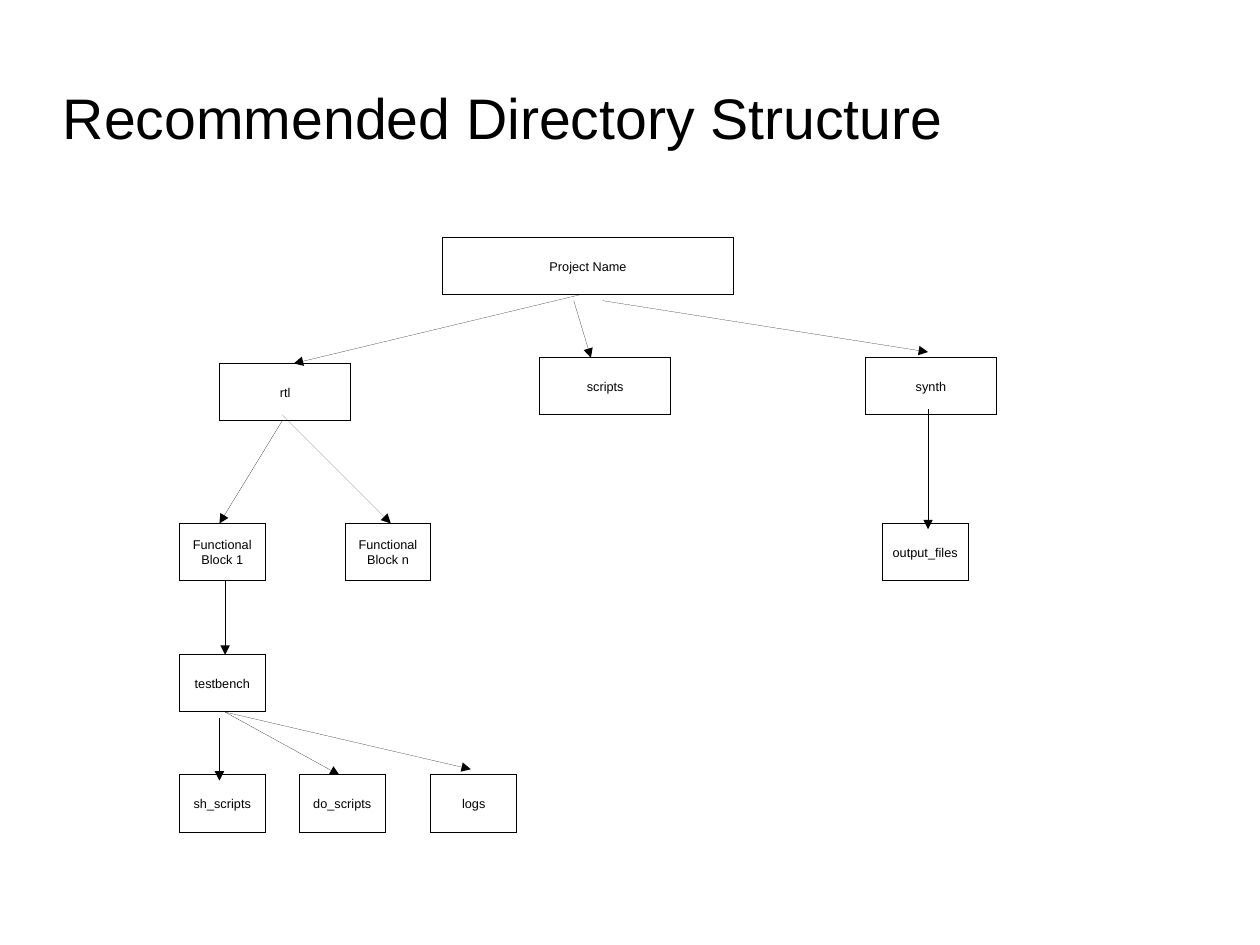
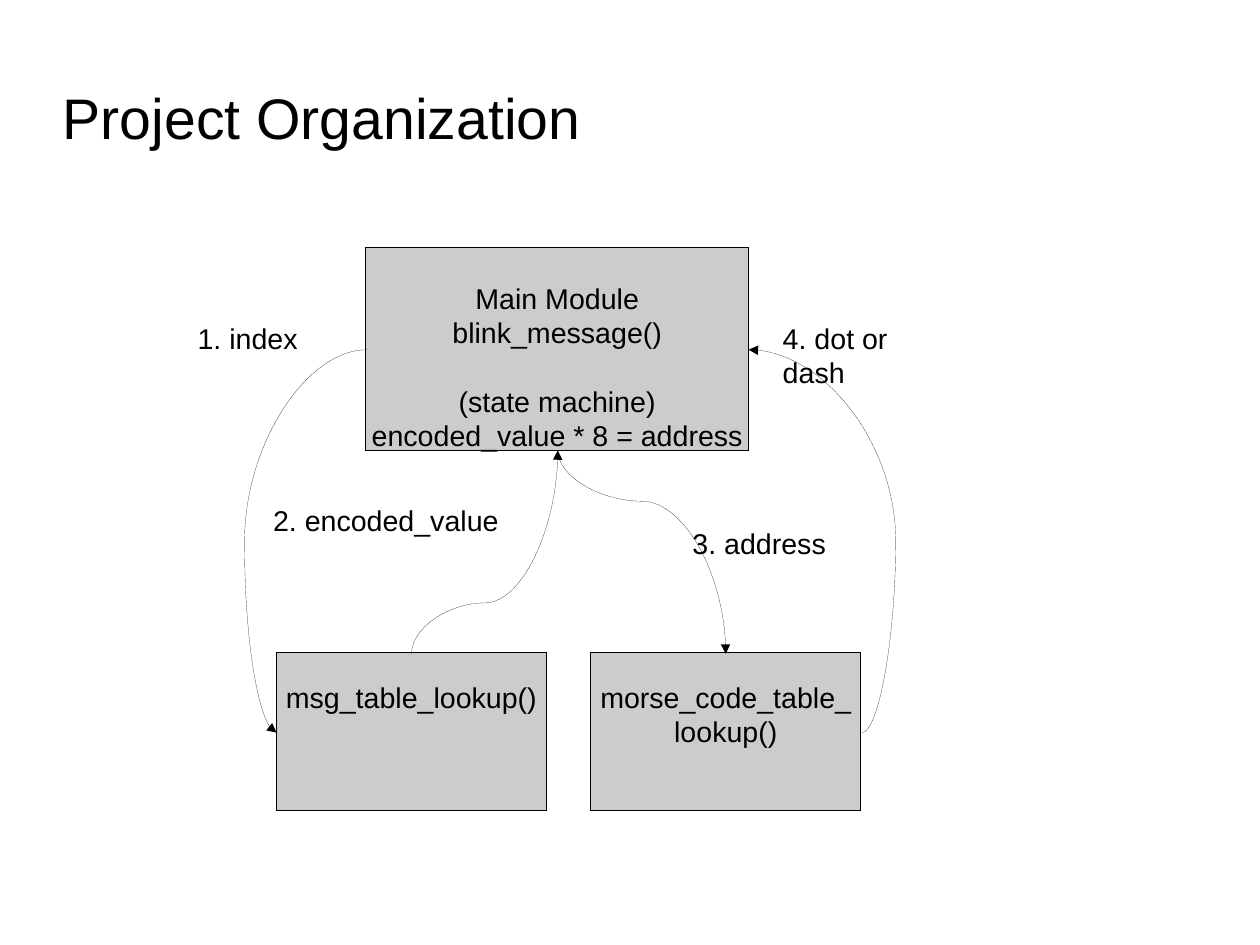
from pptx import Presentation
from pptx.dml.color import RGBColor
from pptx.enum.shapes import MSO_CONNECTOR, MSO_SHAPE
from pptx.enum.text import MSO_ANCHOR, MSO_AUTO_SIZE, PP_ALIGN
from pptx.oxml.ns import qn
from pptx.util import Inches, Pt
from lxml import etree
from dataclasses import dataclass

RECTANGLE = MSO_SHAPE.RECTANGLE
STRAIGHT, CURVE = MSO_CONNECTOR.STRAIGHT, MSO_CONNECTOR.CURVE
MIDDLE, TOP = MSO_ANCHOR.MIDDLE, MSO_ANCHOR.TOP
CENTER, LEFT = PP_ALIGN.CENTER, PP_ALIGN.LEFT
FIT_SHAPE = MSO_AUTO_SIZE.SHAPE_TO_FIT_TEXT


@dataclass(frozen=True)
class Theme:
    font: str = "Arial"
    ink: RGBColor = RGBColor(0, 0, 0)
    folder: RGBColor = RGBColor(0xFF, 0xFF, 0xFF)
    module: RGBColor = RGBColor(0xCC, 0xCC, 0xCC)
    title_size: Pt = Pt(36)
    folder_size: Pt = Pt(8)
    module_size: Pt = Pt(18)
    hairline: Pt = Pt(0.01)  # a width of exactly 0 would not be written


THEME = Theme()


def add_text(page, place, text, size, fill=None, margins=(0.1, 0.05, 0.1, 0.05),
             anchor=MIDDLE, wrap=False):
    """Add a filled, centred box, or a plain left-aligned text box without fill."""
    place = [Inches(value) for value in place]
    if fill is None:
        box = page.shapes.add_textbox(*place)
    else:
        box = page.shapes.add_shape(RECTANGLE, *place)
        box.shadow.inherit = False
        box.fill.solid()
        box.fill.fore_color.rgb = fill
        box.line.color.rgb = THEME.ink
        box.line.width = THEME.hairline
    frame = box.text_frame
    frame.text = text
    frame.word_wrap = wrap
    frame.vertical_anchor = anchor
    frame.margin_left, frame.margin_top, frame.margin_right, frame.margin_bottom = (
        Inches(value) for value in margins)
    for para in frame.paragraphs:
        para.alignment = LEFT if fill is None else CENTER
        para.font.name = THEME.font
        para.font.size = size
        para.font.color.rgb = THEME.ink
    return box


def add_arrow(page, kind, start, end, bend=None, turn=0):
    """Add an arrow; bend places the curve's middle, turn is 0, 90 or 270 degrees."""
    points = [start, end]
    if turn:
        # Turn the ends back about their centre, as the rotation is applied later
        sign = 1 if turn == 90 else -1
        center_x, center_y = (start[0] + end[0]) / 2, (start[1] + end[1]) / 2
        points = [(center_x + sign * (y - center_y), center_y - sign * (x - center_x))
                  for x, y in points]
    arrow = page.shapes.add_connector(
        kind, *(Inches(value) for point in points for value in point))
    arrow.rotation = turn
    arrow.line.color.rgb = THEME.ink
    arrow.line.width = THEME.hairline
    properties = arrow._element.spPr
    etree.SubElement(properties.find(qn("a:ln")), qn("a:tailEnd"), type="triangle")
    etree.SubElement(properties, qn("a:effectLst"))
    if bend is not None:
        guides = properties.find(qn("a:prstGeom")).find(qn("a:avLst"))
        etree.SubElement(guides, qn("a:gd"), name="adj1", fmla=f"val {round(bend * 100000)}")


# The page measures 28 by 21 centimetres
deck = Presentation()
deck.slide_width, deck.slide_height = Inches(28 / 2.54), Inches(21 / 2.54)

# Pages with their titles
pages = []
for title in ("Recommended Directory Structure", "Project Organization"):
    page = deck.slides.add_slide(deck.slide_layouts[6])
    add_text(page, (0.55, 0.33, 9.92, 1.38), title, THEME.title_size,
             margins=(0, 0, 0, 0), wrap=True)
    pages.append(page)
directory_page, organization_page = pages

# Directory tree: folders by width
folders = {
    2.55: [(3.87, 2.08, "Project Name")],
    1.15: [(1.92, 3.18, "rtl"), (4.72, 3.13, "scripts"), (7.57, 3.13, "synth")],
    0.75: [
        (1.57, 4.58, "Functional\nBlock 1"),
        (3.02, 4.58, "Functional\nBlock n"),
        (7.72, 4.58, "output_files"),
        (1.57, 5.73, "testbench"),
        (1.57, 6.78, "sh_scripts"),
        (2.62, 6.78, "do_scripts"),
        (3.77, 6.78, "logs"),
    ],
}
for width, row in folders.items():
    for left, top, name in row:
        add_text(directory_page, (left, top, width, 0.5), name,
                 THEME.folder_size, THEME.folder)

# Directory tree: arrows from parent to child
for start, end in (
    ((5.07, 2.58), (2.57, 3.18)),
    ((5.02, 2.63), (5.17, 3.13)),
    ((5.27, 2.63), (8.12, 3.08)),
    ((2.47, 3.68), (1.92, 4.58)),
    ((2.47, 3.63), (3.42, 4.58)),
    ((8.12, 3.58), (8.12, 4.63)),
    ((1.97, 5.08), (1.97, 5.73)),
    ((1.92, 6.28), (1.92, 6.83)),
    ((1.97, 6.23), (2.97, 6.78)),
    ((1.97, 6.23), (4.12, 6.73)),
):
    add_arrow(directory_page, STRAIGHT, start, end)

# Modules: top and bottom margins shift the text off the middle
main_text = "Main Module\nblink_message()\n(state machine)\nencoded_value * 8 = address"
main_box = add_text(organization_page, (3.2, 2.17, 3.35, 1.77), main_text,
                    THEME.module_size, THEME.module, margins=(0.1, 0.3, 0.1, 0))
main_box.text_frame.paragraphs[2].space_before = Pt(21.6)
for left, name, bottom_margin in (
    (2.42, "msg_table_lookup()", 0.6),
    (5.17, "morse_code_table_\nlookup()", 0.3),
):
    add_text(organization_page, (left, 5.71, 2.36, 1.38), name, THEME.module_size,
             THEME.module, margins=(0.1, 0, 0.1, bottom_margin))

# Calls between modules
for start, end, bend, turn in (
    ((3.21, 3.06), (2.42, 6.41), 1.355, 0),
    ((7.54, 6.41), (6.55, 3.06), -0.3, 0),
    ((3.6, 5.72), (4.88, 3.94), 0.25, 90),
    ((4.88, 3.94), (6.35, 5.72), 0.25, 270),
):
    add_arrow(organization_page, CURVE, start, end, bend, turn)

# Call labels
for left, top, width, height, label, wrap in (
    (1.63, 2.76, 1.12, 0.38, "1. index", False),
    (2.29, 4.35, 2.22, 0.38, "2. encoded_value", False),
    (5.96, 4.55, 1.41, 0.38, "3. address", False),
    (6.75, 2.76, 1.7, 0.66, "4. dot or dash", True),
):
    box = add_text(organization_page, (left, top, width, height), label,
                   THEME.module_size, anchor=TOP, wrap=wrap)
    box.text_frame.auto_size = FIT_SHAPE

deck.save("out.pptx")
